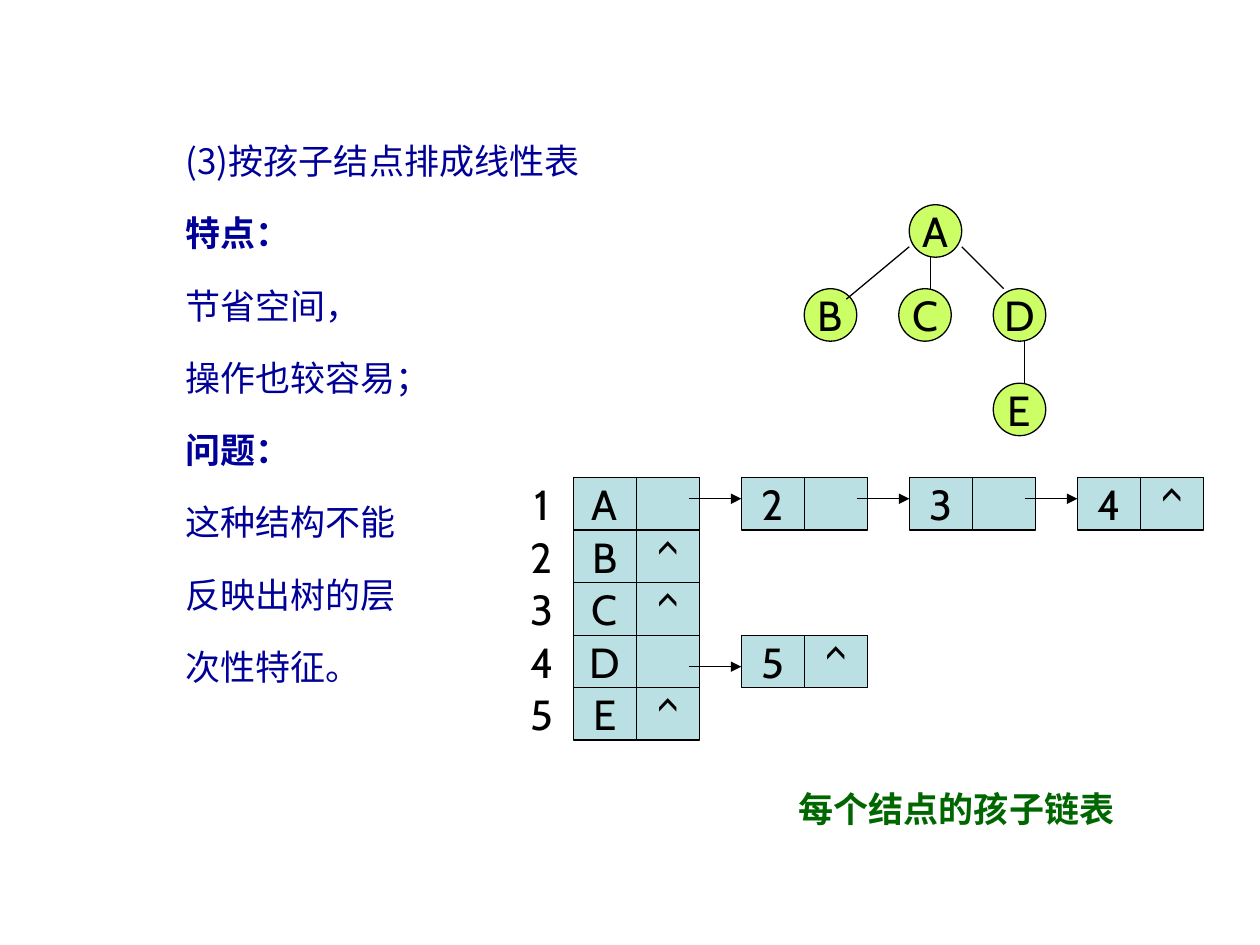
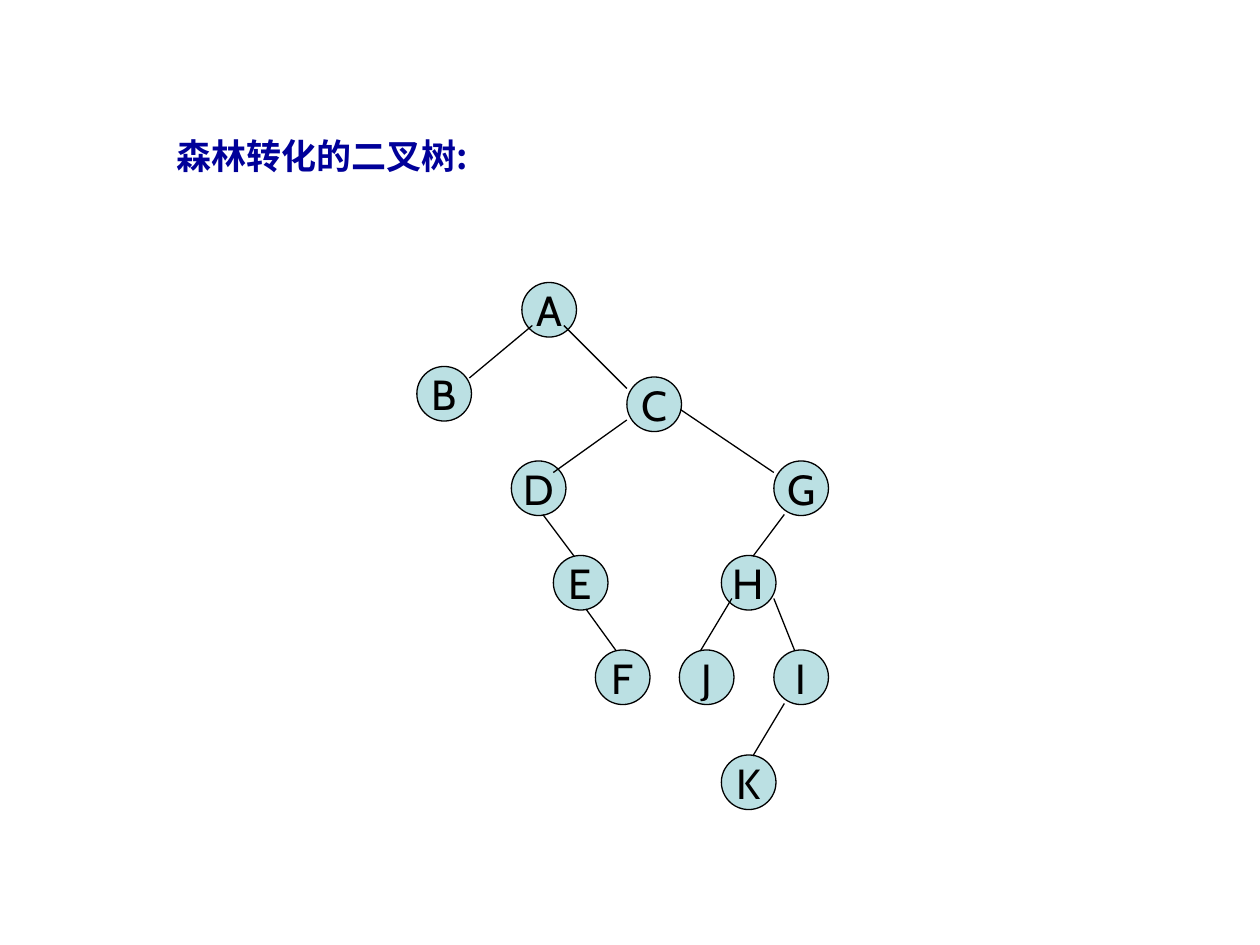
from typing import NamedTuple

from lxml import etree
from pptx import Presentation
from pptx import util as u
from pptx.dml.color import RGBColor
from pptx.enum import shapes, text
from pptx.oxml import ns

PX = 7620  # 120 px to the inch
LATIN, HAN = "Cabin", "Noto Sans CJK SC"
BLACK, WHITE, NAVY, GREEN = "000000", "FFFFFF", "000099", "006600"
AQUA, LIME = "BBE0E3", "CCFF66"
RECT, OVAL = shapes.MSO_SHAPE.RECTANGLE, shapes.MSO_SHAPE.OVAL


class Box(NamedTuple):
    x: int
    y: int
    w: int
    h: int


class Node(NamedTuple):
    name: str
    x: int
    y: int


class Edge(NamedTuple):
    x1: int
    y1: int
    x2: int
    y2: int


class Row(NamedTuple):
    """A tree node and the numbers of its children; drop is the arrow height in the row."""
    name: str
    kids: str = ""
    drop: int = 20


def color(code: str) -> RGBColor:
    return RGBColor.from_string(code)


def emu(*nums: int) -> list[u.Emu]:
    return [u.Emu(n * PX) for n in nums]


def style(para, size: int, ink: str, face: str = LATIN, bold: bool = False) -> None:
    font = para.font
    font.name, font.size, font.bold = face, u.Pt(size), bold
    font.color.rgb = color(ink)
    run = para._p.pPr.find(ns.qn("a:defRPr"))
    etree.SubElement(run, ns.qn("a:ea"), typeface=HAN)


def center(frame, words: str, size: int, ink: str, bold: bool = False) -> None:
    frame.word_wrap = False
    frame.vertical_anchor = text.MSO_ANCHOR.MIDDLE
    para = frame.paragraphs[0]
    para.text = words
    para.alignment = text.PP_ALIGN.CENTER
    style(para, size, ink, bold=bold)


def block(slide, kind, box: Box, fill: str, words: str = "", line: str = BLACK) -> None:
    shape = slide.shapes.add_shape(kind, *emu(*box))
    shape.shadow.inherit = False
    shape.fill.solid()
    shape.fill.fore_color.rgb = color(fill)
    shape.line.color.rgb = color(line)
    shape.line.width = u.Pt(0.75)
    if words:
        center(shape.text_frame, words, 24, BLACK)


def link(slide, edge: Edge, arrow: bool = False) -> None:
    line = slide.shapes.add_connector(shapes.MSO_CONNECTOR.STRAIGHT, *emu(*edge))
    line.line.color.rgb = color(BLACK)
    line.line.width = u.Pt(0.75)
    props = line._element.spPr
    if arrow:
        etree.SubElement(props.find(ns.qn("a:ln")), ns.qn("a:tailEnd"), type="triangle")
    etree.SubElement(props, ns.qn("a:effectLst"))


def tree(slide, nodes: list[Node], edges: list[Edge], size: int, fill: str) -> None:
    for node in nodes:
        block(slide, OVAL, Box(node.x, node.y, size, size), fill, node.name)
    for edge in edges:
        link(slide, edge)


def pair(slide, x: int, y: int, left: str, right: str) -> None:
    """Draw a list cell: its value and its pointer field."""
    for col, words in enumerate((left, right)):
        block(slide, RECT, Box(x + col * 60, y, 60, 50), AQUA, words)


LINES = ["(3)按孩子结点排成线性表", "特点：", "节省空间，", "操作也较容易；",
         "问题：", "这种结构不能", "反映出树的层", "次性特征。"]
ROWS = [Row("A", "234"), Row("B"), Row("C"), Row("D", "5", 30), Row("E")]
SMALL = [Node("A", 866, 195), Node("B", 766, 275), Node("C", 856, 275),
         Node("D", 946, 275), Node("E", 946, 365)]
TWIGS = [Edge(866, 235, 806, 285), Edge(886, 245, 886, 275),
         Edge(916, 235, 956, 275), Edge(976, 325, 976, 365)]
LARGE = [Node("A", 497, 269), Node("B", 397, 349), Node("C", 597, 359),
         Node("D", 487, 439), Node("G", 737, 439), Node("E", 527, 529),
         Node("H", 687, 529), Node("F", 567, 619), Node("J", 647, 619),
         Node("I", 737, 619), Node("K", 687, 719)]
LIMBS = [Edge(507, 310, 447, 360), Edge(537, 310, 597, 370),
         Edge(597, 400, 527, 450), Edge(648, 390, 737, 450),
         Edge(517, 490, 547, 530), Edge(558, 580, 587, 620),
         Edge(747, 490, 717, 530), Edge(697, 570, 667, 620),
         Edge(737, 570, 757, 620), Edge(747, 670, 717, 720)]


def notes(slide) -> None:
    frame = slide.shapes.add_textbox(*emu(165, 119, 824, 574)).text_frame
    frame.word_wrap = True
    frame.text = "\n".join(LINES)
    for num, para in enumerate(frame.paragraphs):
        para.line_spacing = 1.2
        if num:
            para.space_before = u.Pt(12.5)
        style(para, 20, NAVY, HAN, para.text.endswith("："))


def chains(slide) -> None:
    """Draw the node table, each row followed by its list of children."""
    left, top, step = 546, 455, 160
    for num, row in enumerate(ROWS):
        y = top + num * 50
        block(slide, RECT, Box(496, y + 10, 40, 30), WHITE, str(num + 1), WHITE)
        cells = row.name + row.kids
        for col, name in enumerate(cells):
            last = col == len(cells) - 1
            pair(slide, left + col * step, y, name, "^" if last else "")
        for col in range(len(row.kids)):
            tip = left + (col + 1) * step
            link(slide, Edge(tip - 50, y + row.drop, tip, y + row.drop), arrow=True)


def children(deck) -> None:
    slide = deck.slides.add_slide(deck.slide_layouts[6])
    notes(slide)
    tree(slide, SMALL, TWIGS, 50, LIME)
    chains(slide)
    label = slide.shapes.add_textbox(*emu(686, 745, 450, 50))
    center(label.text_frame, "每个结点的孩子链表", 20, GREEN, bold=True)


def forest(deck) -> None:
    slide = deck.slides.add_slide(deck.slide_layouts[5])
    title = slide.shapes.title
    title.left, title.top, title.width, title.height = emu(156, 110, 702, 64)
    frame = title.text_frame
    frame.text = "森林转化的二叉树:"
    frame.auto_size = text.MSO_AUTO_SIZE.NONE
    frame.vertical_anchor = text.MSO_ANCHOR.MIDDLE
    para = frame.paragraphs[0]
    para.alignment = text.PP_ALIGN.LEFT
    para.line_spacing = 1.3
    style(para, 20, NAVY, HAN, bold=True)
    tree(slide, LARGE, LIMBS, 52, AQUA)


def main() -> None:
    deck = Presentation()
    deck.slide_width, deck.slide_height = emu(1200, 900)
    children(deck)
    forest(deck)
    deck.save("out.pptx")


if __name__ == "__main__":
    main()
